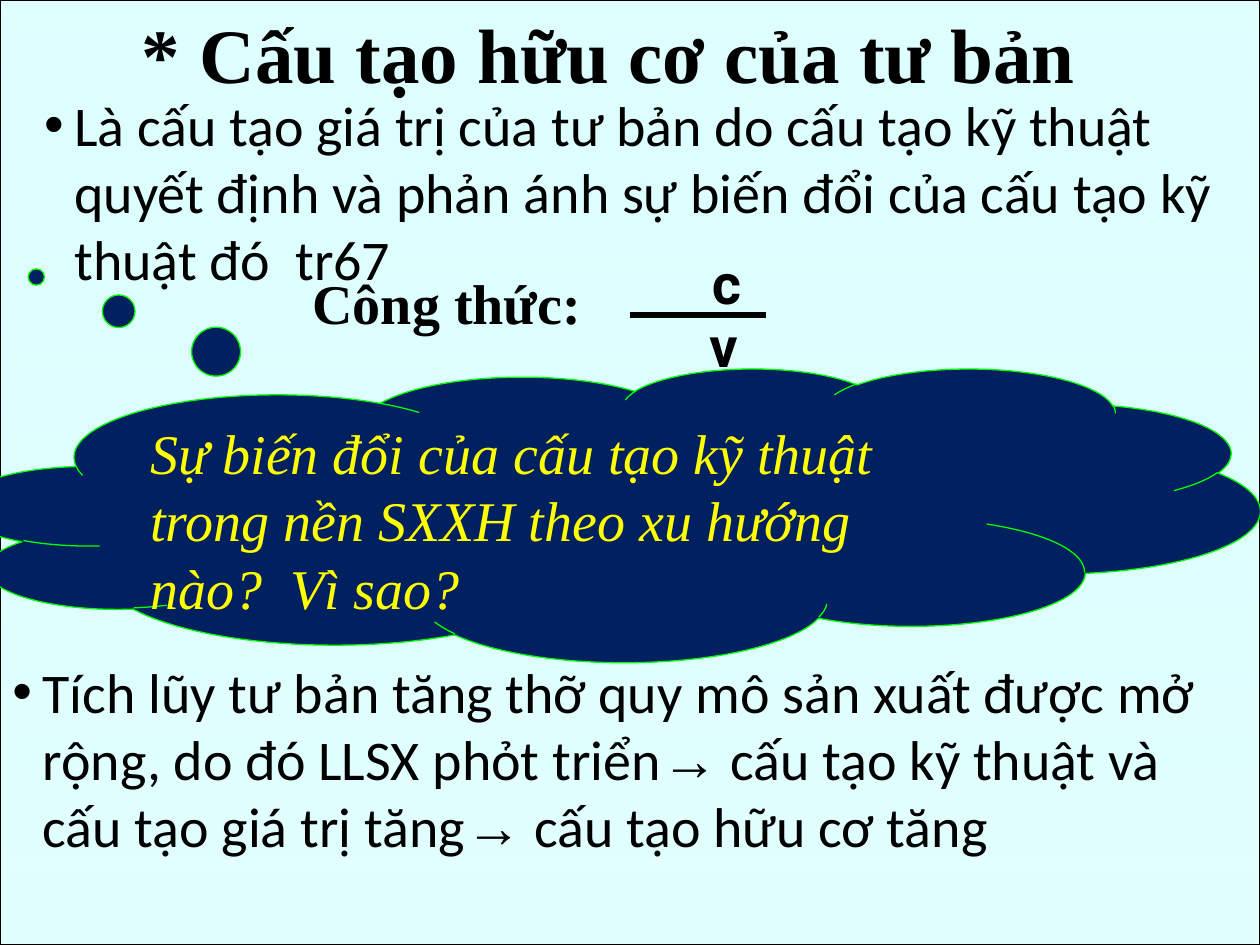
import pptx
import pptx.util
import pptx.dml.color
import pptx.enum.shapes
import pptx.enum.text
import pptx.oxml.ns
from dataclasses import dataclass
from lxml import etree

Cm = pptx.util.Cm
Pt = pptx.util.Pt
ALIGN = pptx.enum.text.PP_ALIGN
ANCHOR = pptx.enum.text.MSO_ANCHOR
SHAPE = pptx.enum.shapes.MSO_SHAPE


@dataclass(frozen=True)
class Theme:
    ink: str = "000000"
    cloud: str = "002060"
    cloud_edge: str = "00FF00"
    question: str = "FFFF00"
    sky: tuple = ("CCFFFF", "E2FFFF")
    sky_alpha: int = 61000
    title_size: int = 44
    body_size: int = 32
    serif: str = "Times New Roman"
    body: str = "Calibri"
    symbol: str = "Arial"
    formula: str = "Roboto"


def rgb(value):
    return pptx.dml.color.RGBColor.from_string(value)


def add_xml(parent, tag, **attributes):
    child = etree.SubElement(parent, pptx.oxml.ns.qn(tag))
    for name, value in attributes.items():
        child.set(name, value)
    return child


class SlideBuilder:
    def __init__(self, slide, theme):
        self.slide = slide
        self.theme = theme

    def add_text(self, paragraph, text, font, size=None, color=None, bold=False, italic=False):
        run = paragraph.add_run()
        run.text = text
        run.font.name = font
        run.font.size = Pt(size or self.theme.body_size)
        run.font.color.rgb = rgb(color or self.theme.ink)
        run.font.bold = bold
        run.font.italic = italic

    def shape(self, kind, box, edge):
        shape = self.slide.shapes.add_shape(kind, *map(Cm, box))
        shape.shadow.inherit = False
        shape.line.color.rgb = rgb(edge)
        shape.line.width = Pt(0.75)
        return shape

    def backdrop(self, width, height):
        panel = self.shape(SHAPE.RECTANGLE, (0, 0, width, height), self.theme.ink)
        panel.fill.gradient()
        panel.fill.gradient_angle = 270
        for stop, color in zip(panel.fill.gradient_stops, self.theme.sky):
            stop.color.rgb = rgb(color)
        # Only the first colour is translucent
        first = next(panel._element.iter(pptx.oxml.ns.qn("a:srgbClr")))
        add_xml(first, "a:alpha", val=str(self.theme.sky_alpha))
        # Behind the title
        self.slide.shapes._spTree.insert(2, panel._element)

    def title(self, text, box):
        title = self.slide.shapes.title
        title.left, title.top, title.width, title.height = map(Cm, box)
        frame = title.text_frame
        frame.vertical_anchor = ANCHOR.MIDDLE
        frame.paragraphs[0].alignment = ALIGN.CENTER
        self.add_text(frame.paragraphs[0], text, self.theme.serif,
                      self.theme.title_size, bold=True)

    def text_box(self, box):
        frame = self.slide.shapes.add_textbox(*map(Cm, box)).text_frame
        frame.word_wrap = True
        return frame.paragraphs[0]

    def bullet(self, parts, box):
        paragraph = self.text_box(box)
        properties = paragraph._p.get_or_add_pPr()
        indent = Cm(0.61)
        properties.set("marL", str(indent))
        properties.set("indent", str(-indent))
        add_xml(add_xml(properties, "a:buClr"), "a:srgbClr", val=self.theme.ink)
        add_xml(properties, "a:buFont", typeface=self.theme.symbol)
        add_xml(properties, "a:buChar", char="•")
        for part in parts:
            font = self.theme.symbol if part == "→" else self.theme.body
            self.add_text(paragraph, part, font)

    def label(self, text, box, font, align=ALIGN.LEFT):
        paragraph = self.text_box(box)
        paragraph.alignment = align
        self.add_text(paragraph, text, font, bold=True)

    def line(self, left, right, y):
        bar = self.slide.shapes.add_connector(
            pptx.enum.shapes.MSO_CONNECTOR.STRAIGHT, Cm(left), Cm(y), Cm(right), Cm(y))
        bar.line.color.rgb = rgb(self.theme.ink)
        bar.line.width = Pt(3)
        add_xml(bar._element.spPr, "a:effectLst")

    def thought(self, text, box, tail):
        cloud = self.shape(SHAPE.CLOUD_CALLOUT, box, self.theme.cloud_edge)
        cloud.fill.solid()
        cloud.fill.fore_color.rgb = rgb(self.theme.cloud)
        for index, offset in enumerate(tail):
            cloud.adjustments[index] = offset
        frame = cloud.text_frame
        frame.word_wrap = True
        frame.vertical_anchor = ANCHOR.TOP
        frame.paragraphs[0].alignment = ALIGN.LEFT
        self.add_text(frame.paragraphs[0], text, self.theme.serif,
                      color=self.theme.question, italic=True)


def main():
    width, height = 25.4, 19.05
    deck = pptx.Presentation()
    deck.slide_width, deck.slide_height = Cm(width), Cm(height)
    theme = Theme()
    page = SlideBuilder(deck.slides.add_slide(deck.slide_layouts[5]), theme)

    # Background and heading
    page.backdrop(width, height)
    page.title("* Cấu tạo hữu cơ của tư bản", (0.84, 0, 22.86, 2.11))

    # Definition and conclusion
    page.bullet(["Là cấu tạo giá trị của tư bản do cấu tạo kỹ thuật quyết định và "
                 "phản ánh sự biến đổi của cấu tạo kỹ thuật đó  tr67"],
                (0.64, 1.7, 24.13, 4.32))
    page.bullet(["Tích lũy tư bản tăng thỡ quy mô sản xuất được mở rộng, "
                 "do đó LLSX phỏt triển", "→",
                 " cấu tạo kỹ thuật và cấu tạo giá trị tăng", "→",
                 " cấu tạo hữu cơ tăng"],
                (0, 13.13, width, 4.32))

    # Formula c over v
    page.label("Công thức:", (6.05, 5.28, 6.2, 1.63), theme.serif)
    page.line(12.7, 15.45, 6.35)
    page.label("c", (13.51, 4.88, 1.68, 1.63), theme.formula, ALIGN.RIGHT)
    page.label("v", (13.72, 6.15, 1.4, 1.63), theme.formula, ALIGN.RIGHT)

    # Question for the class
    page.thought("Sự biến đổi của cấu tạo kỹ thuật trong nền SXXH theo xu hướng "
                 "nào?  Vì sao?", (-0.84, 7.42, 26.24, 5.92), (-0.44, -0.81))

    deck.save("out.pptx")


if __name__ == "__main__":
    main()
